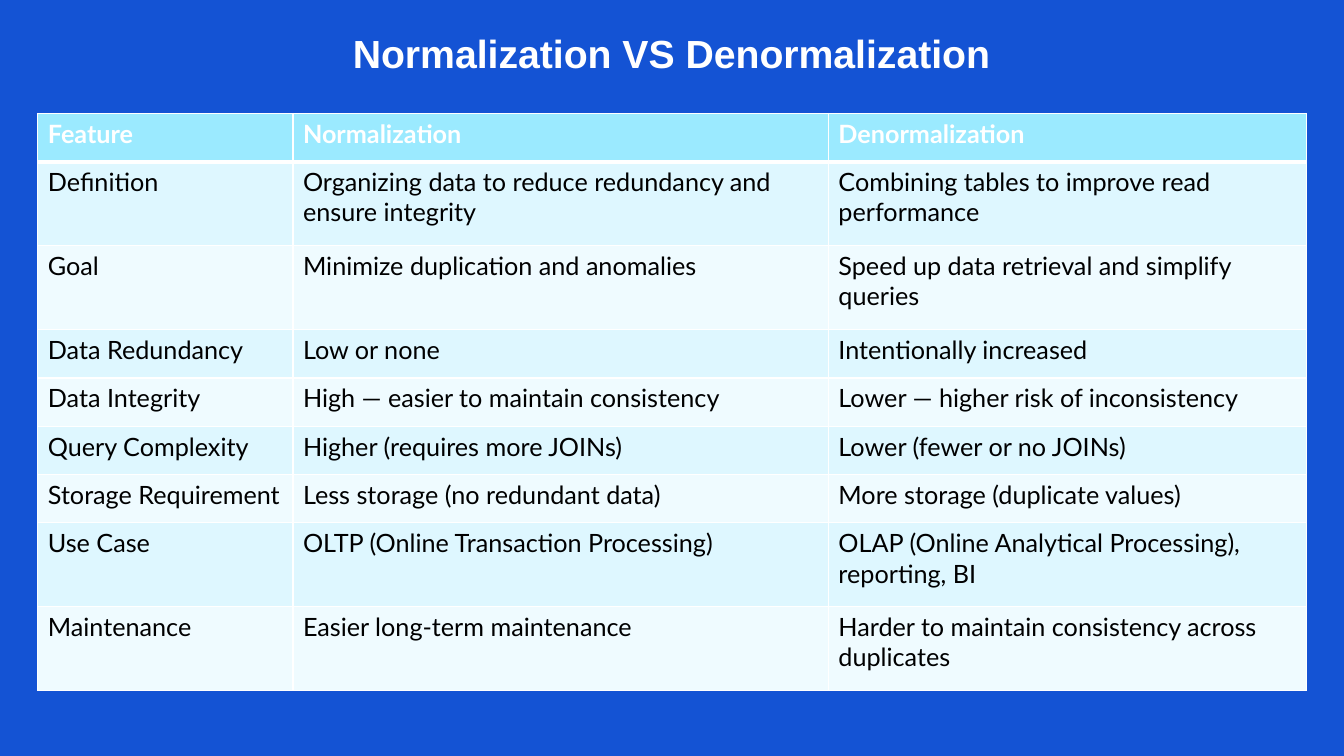
from lxml import etree
from pptx import Presentation
from pptx import util as u
from pptx.dml.color import RGBColor
from pptx.enum import text
from pptx.oxml.ns import qn

PX = 9525

BLUE = RGBColor(0x14, 0x53, 0xD4)
WHITE = RGBColor(0xFF, 0xFF, 0xFF)
BLACK = RGBColor(0x00, 0x00, 0x00)
HEADER = RGBColor(0x9B, 0xEA, 0xFF)
BANDS = (RGBColor(0xDE, 0xF7, 0xFF), RGBColor(0xEF, 0xFB, 0xFF))

COL_WIDTHS = (243, 510, 455)
ONE_LINE, TWO_LINES = 46, 80
ROWS = (
    (ONE_LINE, "Feature", "Normalization", "Denormalization"),
    (TWO_LINES, "Definition",
     "Organizing data to reduce redundancy and ensure integrity",
     "Combining tables to improve read performance"),
    (TWO_LINES, "Goal", "Minimize duplication and anomalies",
     "Speed up data retrieval and simplify queries"),
    (ONE_LINE, "Data Redundancy", "Low or none", "Intentionally increased"),
    (ONE_LINE, "Data Integrity", "High — easier to maintain consistency",
     "Lower — higher risk of inconsistency"),
    (ONE_LINE, "Query Complexity", "Higher (requires more JOINs)",
     "Lower (fewer or no JOINs)"),
    (ONE_LINE, "Storage Requirement", "Less storage (no redundant data)",
     "More storage (duplicate values)"),
    (TWO_LINES, "Use Case", "OLTP (Online Transaction Processing)",
     "OLAP (Online Analytical Processing), reporting, BI"),
    (TWO_LINES, "Maintenance", "Easier long-term maintenance",
     "Harder to maintain consistency across duplicates"),
)


def px(n):
    return u.Emu(n * PX)


def format_run(r, font, size, color, bold):
    r.font.name = font
    r.font.size = u.Pt(size)
    r.font.color.rgb = color
    r.font.bold = bold


def set_borders(cell, widths):
    """Draw white borders; widths maps each side (L, R, T, B) to points."""
    tc_pr = cell._tc.get_or_add_tcPr()
    for i, side in enumerate("LRTB"):
        ln = etree.Element(qn(f"a:ln{side}"), w=str(u.Pt(widths[side])))
        fill = etree.SubElement(ln, qn("a:solidFill"))
        etree.SubElement(fill, qn("a:srgbClr"), val=str(WHITE))
        tc_pr.insert(i, ln)


def place_title(s, x, y, w, h):
    sp = s.shapes.title
    sp.left, sp.top, sp.width, sp.height = map(px, (x, y, w, h))
    tf = sp.text_frame
    tf.text = "Normalization VS Denormalization"
    tf.word_wrap = True
    tf.vertical_anchor = text.MSO_ANCHOR.TOP
    tf.margin_top = px(9)
    p = tf.paragraphs[0]
    p.alignment = text.PP_ALIGN.CENTER
    format_run(p.runs[0], "Arial", 28, WHITE, True)


def fill_cell(cell, words, row):
    is_header = row == 0
    cell.text = words
    cell.fill.solid()
    cell.fill.fore_color.rgb = HEADER if is_header else BANDS[(row - 1) % 2]
    format_run(cell.text_frame.paragraphs[0].runs[0], "Lato", 18,
               WHITE if is_header else BLACK, is_header)
    set_borders(cell, {"L": 1, "R": 1, "T": 3 if row == 1 else 1,
                       "B": 3 if is_header else 1})


def place_table(s, x, y):
    width, height = sum(COL_WIDTHS), sum(row[0] for row in ROWS)
    table = s.shapes.add_table(len(ROWS), len(COL_WIDTHS), px(x), px(y),
                               px(width), px(height)).table
    for column, w in zip(table.columns, COL_WIDTHS):
        column.width = px(w)
    for i, (h, *words) in enumerate(ROWS):
        table.rows[i].height = px(h)
        for j, word in enumerate(words):
            fill_cell(table.cell(i, j), word, i)


def comparison_slide(prs):
    s = prs.slides.add_slide(prs.slide_layouts[5])
    s.background.fill.solid()
    s.background.fill.fore_color.rgb = BLUE
    place_table(s, 36, 108)
    place_title(s, 88, 19, 1103, 89)


def main():
    prs = Presentation()
    prs.slide_width, prs.slide_height = px(1280), px(720)
    comparison_slide(prs)
    prs.save("out.pptx")


if __name__ == "__main__":
    main()
